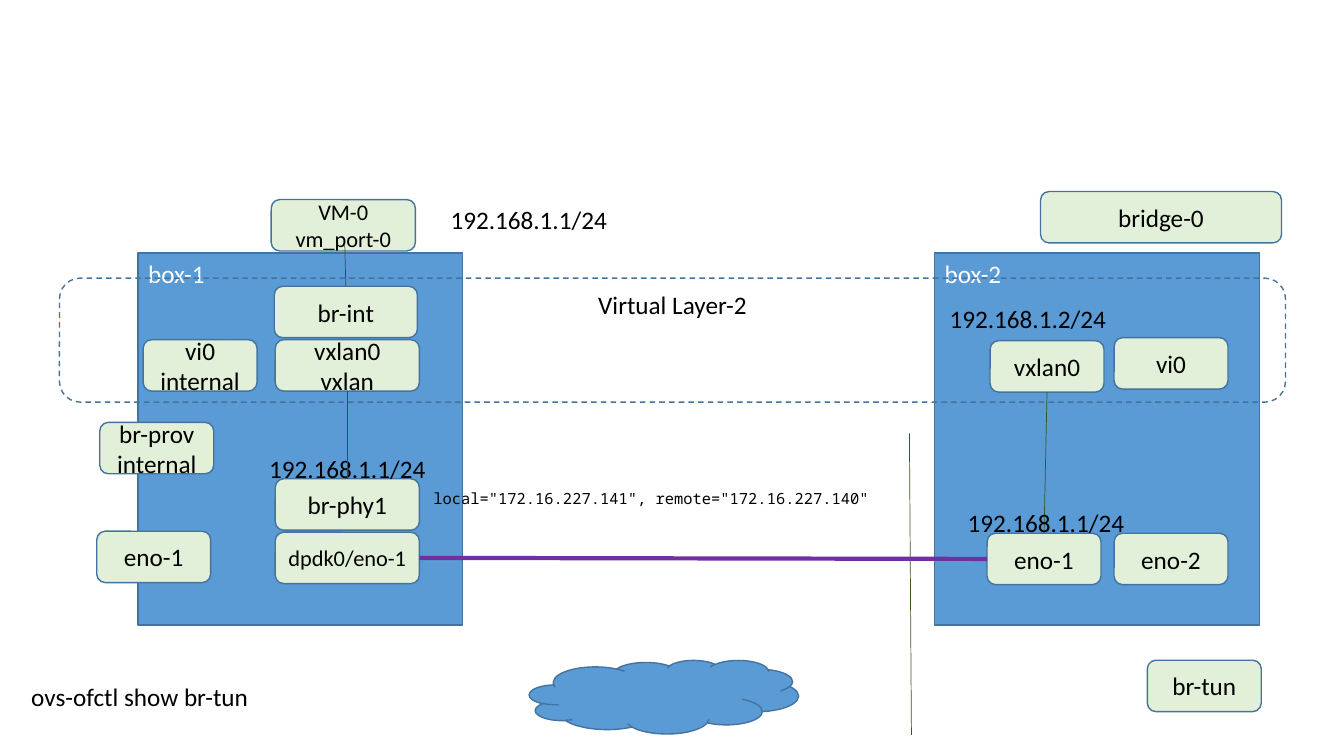
"""Builds a one-slide diagram of a VXLAN tunnel between two boxes."""
from lxml import etree
from pptx import Presentation
from pptx import util as u
from pptx.dml.color import RGBColor
from pptx.enum import dml, shapes, text
from pptx.oxml import ns

COLORS = {
    "blue": "5B9BD5",
    "outline": "43739E",
    "port": "E2F0D9",
    "link": "385723",
    "tunnel": "7030A0",
    "black": "000000",
    "white": "FFFFFF",
}
TOP, LEFT, BOTTOM, RIGHT = range(4)
PORT_HEIGHT = 0.51
NARROW, WIDE = 1.13, 1.43


class Diagram:
    def __init__(self, slide, font="Calibri"):
        self.slide = slide
        self.font = font

    def color(self, name):
        return RGBColor.from_string(COLORS[name])

    def set_text(self, frame, words, size, color, align, font=None):
        frame.text = words
        for paragraph in frame.paragraphs:
            paragraph.alignment = align
            paragraph.font.size = u.Pt(size)
            paragraph.font.name = font or self.font
            paragraph.font.color.rgb = self.color(color)

    def shape(self, kind, left, top, width, height, fill=None):
        shape = self.slide.shapes.add_shape(
            kind, u.Inches(left), u.Inches(top), u.Inches(width), u.Inches(height))
        shape.shadow.inherit = False
        if fill:
            shape.fill.solid()
            shape.fill.fore_color.rgb = self.color(fill)
        else:
            shape.fill.background()
        shape.line.color.rgb = self.color("outline")
        shape.line.width = u.Pt(1)
        return shape

    def box(self, words, left):
        box = self.shape(shapes.MSO_SHAPE.RECTANGLE, left, 2.51, 3.22, 3.69, "blue")
        box.text_frame.vertical_anchor = text.MSO_ANCHOR.TOP
        self.set_text(box.text_frame, words, 18, "white", text.PP_ALIGN.LEFT)

    def port(self, words, left, top, width=NARROW, size=18):
        port = self.shape(shapes.MSO_SHAPE.ROUNDED_RECTANGLE,
                          left, top, width, PORT_HEIGHT, "port")
        port.text_frame.vertical_anchor = text.MSO_ANCHOR.MIDDLE
        self.set_text(port.text_frame, words, size, "black", text.PP_ALIGN.CENTER)
        return port

    def layer(self, words, left, top, width, height):
        layer = self.shape(shapes.MSO_SHAPE.ROUNDED_RECTANGLE, left, top, width, height)
        layer.line.dash_style = dml.MSO_LINE.DASH
        layer.text_frame.vertical_anchor = text.MSO_ANCHOR.TOP
        self.set_text(layer.text_frame, words, 18, "black", text.PP_ALIGN.CENTER)

    def label(self, words, left, top, width=1.77, height=0.4, size=18, font=None, wrap=False):
        label = self.slide.shapes.add_textbox(
            u.Inches(left), u.Inches(top), u.Inches(width), u.Inches(height))
        label.text_frame.word_wrap = wrap
        label.text_frame.auto_size = text.MSO_AUTO_SIZE.SHAPE_TO_FIT_TEXT
        self.set_text(label.text_frame, words, size, "black", text.PP_ALIGN.LEFT, font)

    def line(self, start, end, color="link", width=0.5, begin=None, finish=None):
        line = self.slide.shapes.add_connector(
            shapes.MSO_CONNECTOR.STRAIGHT, *map(u.Inches, (*start, *end)))
        line.line.color.rgb = self.color(color)
        line.line.width = u.Pt(width)
        etree.SubElement(line._element.spPr, ns.qn("a:effectLst"))
        if begin:
            line.begin_connect(*begin)
        if finish:
            line.end_connect(*finish)


def main():
    presentation = Presentation()
    presentation.slide_width = u.Inches(13.33)
    presentation.slide_height = u.Inches(7.5)
    diagram = Diagram(presentation.slides.add_slide(presentation.slide_layouts[6]))

    diagram.box("box-1", 1.37)
    diagram.box("box-2", 9.27)

    diagram.port("vi0\ninternal", 1.42, 3.37)
    vxlan_1 = diagram.port("vxlan0\nvxlan", 2.73, 3.37, WIDE)
    diagram.port("eno-1", 0.96, 5.27)
    dpdk = diagram.port("dpdk0/eno-1", 2.73, 5.28, WIDE, 16)
    diagram.port("vi0", 11.05, 3.35)
    diagram.port("bridge-0", 10.32, 1.9, 2.39)
    vxlan_2 = diagram.port("vxlan0", 9.82, 3.38)
    box_2_eno_1 = diagram.port("eno-1", 9.79, 5.29)
    diagram.port("eno-2", 11.05, 5.29)

    diagram.shape(shapes.MSO_SHAPE.CLOUD, 5.25, 6.55, 2.67, 0.73, "blue")
    diagram.line((9.02, 4.3), (9.04, 7.29))
    diagram.line((10.39, 3.89), (10.36, 5.29),
                 begin=(vxlan_2, BOTTOM), finish=(box_2_eno_1, TOP))
    diagram.line((9.79, 5.54), (4.16, 5.54), "tunnel", 3,
                 begin=(box_2_eno_1, LEFT), finish=(dpdk, RIGHT))
    diagram.layer("Virtual Layer-2", 0.59, 2.76, 12.16, 1.23)

    diagram.port("br-prov\ninternal", 0.99, 4.19)
    br_int = diagram.port("br-int", 2.72, 2.84, 1.42)
    br_phy = diagram.port("br-phy1", 2.73, 4.75, WIDE)
    diagram.label('local="172.16.227.141", remote="172.16.227.140"',
                  4.2, 4.8, 5.3, 0.29, 11, "Noto Sans Mono", True)
    diagram.port("br-tun", 11.38, 6.55)
    diagram.label("ovs-ofctl show br-tun", 0.21, 6.71, 2.38)
    diagram.port("VM-0\nvm_port-0", 2.69, 1.98, WIDE, 16)
    diagram.line((3.42, 2.43), (3.43, 2.84), finish=(br_int, TOP))

    for address, left, top in (
        ("192.168.1.1/24", 4.37, 1.98),
        ("192.168.1.1/24", 2.57, 4.45),
        ("192.168.1.1/24", 9.5, 4.98),
        ("192.168.1.2/24", 9.32, 2.96),
    ):
        diagram.label(address, left, top)
    diagram.line((3.44, 3.88), (3.44, 4.75),
                 begin=(vxlan_1, BOTTOM), finish=(br_phy, TOP))

    presentation.save("out.pptx")


if __name__ == "__main__":
    main()
